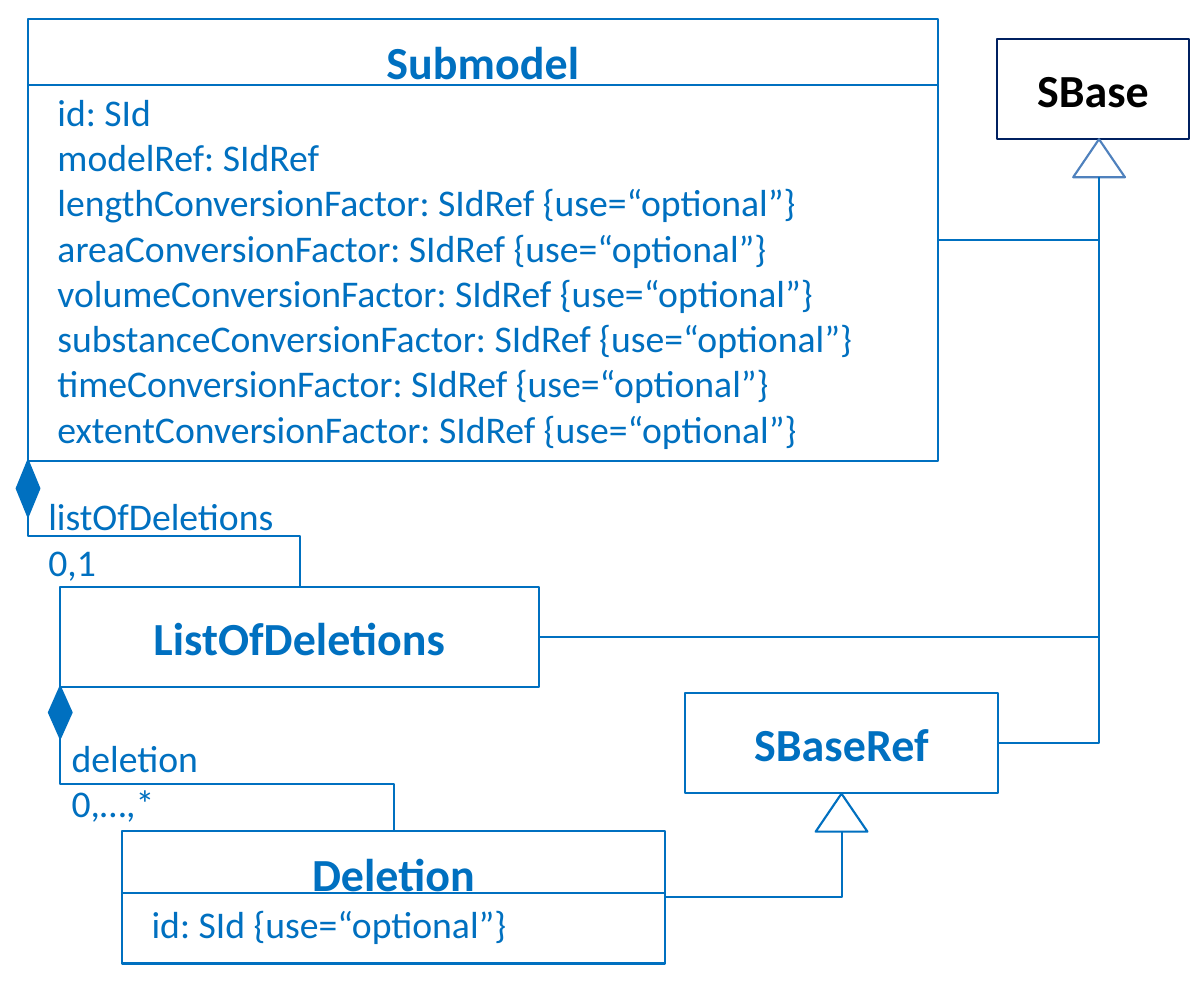
"""Draw a UML class diagram of submodels and their deletions."""
from dataclasses import dataclass

import lxml.etree
import pptx
import pptx.dml.color
import pptx.enum.shapes
import pptx.enum.text
import pptx.oxml.ns
import pptx.util

Pt = pptx.util.Pt
qn = pptx.oxml.ns.qn
SHAPE = pptx.enum.shapes.MSO_SHAPE
CONNECTOR = pptx.enum.shapes.MSO_CONNECTOR
ALIGN = pptx.enum.text.PP_ALIGN
ANCHOR = pptx.enum.text.MSO_ANCHOR

BLUE, NAVY, STEEL, BLACK = "0070C0", "002060", "4F81BD", "000000"
DIAMOND_WIDTH = 5.4
TRIANGLE_WIDTH, TRIANGLE_HEIGHT = 12.4, 9.1


@dataclass(frozen=True)
class UmlClass:
    heading: str
    left: float
    top: float
    width: float
    height: float
    attributes: tuple[str, ...] = ()
    divider: float = 0
    outline: str = BLUE
    ink: str = BLUE

    @property
    def right(self) -> float:
        return self.left + self.width

    @property
    def bottom(self) -> float:
        return self.top + self.height

    @property
    def center(self) -> float:
        return self.left + self.width / 2

    @property
    def middle(self) -> float:
        return self.top + self.height / 2


@dataclass(frozen=True)
class Composition:
    owner: UmlClass
    member: UmlClass
    diamond_height: float
    bend: float
    label: tuple[str, str]
    label_left: float
    label_top: float
    label_width: float


@dataclass(frozen=True)
class Inheritance:
    parent: UmlClass
    children: tuple[UmlClass, ...]
    axis: float
    outline: str


FACTORS = tuple(f"{kind}ConversionFactor: SIdRef {{use=“optional”}}" for kind in
                ("length", "area", "volume", "substance", "time", "extent"))
submodel = UmlClass("Submodel", 6.7, 4.5, 217.7, 105.8,
                    ("id: SId", "modelRef: SIdRef") + FACTORS, 20.3)
sbase = UmlClass("SBase", 238.5, 9.3, 45.9, 24, outline=NAVY, ink=BLACK)
deletion_list = UmlClass("ListOfDeletions", 14.4, 140.4, 114.5, 24)
sbase_ref = UmlClass("SBaseRef", 163.9, 165.8, 74.8, 24.1)
deletion = UmlClass("Deletion", 29.2, 198.8, 129.9, 31.8,
                    ("id: SId {use=“optional”}",), 213.6)

CLASSES = (submodel, sbase, deletion_list, sbase_ref, deletion)
COMPOSITIONS = (
    Composition(submodel, deletion_list, 13.2, 0.29,
                ("listOfDeletions", "0,1"), 4.5, 114.5, 69),
    Composition(deletion_list, deletion, 12.2, 0.5,
                ("deletion", "0,…,*"), 10.1, 172.3, 45.3),
)
INHERITANCES = (
    Inheritance(sbase, (submodel, deletion_list, sbase_ref), 262.9, STEEL),
    Inheritance(sbase_ref, (deletion,), sbase_ref.center, BLUE),
)

presentation = pptx.Presentation()
presentation.slide_width, presentation.slide_height = Pt(288), Pt(237.6)
slide = presentation.slides.add_slide(presentation.slide_layouts[6])


def color(value: str) -> pptx.dml.color.RGBColor:
    """Turn a hex string into a colour."""
    return pptx.dml.color.RGBColor.from_string(value)


def add_outline(kind, left: float, top: float, width: float, height: float,
                outline: str, fill: str = ""):
    """Add a thinly outlined shape, hollow unless a fill is given."""
    symbol = slide.shapes.add_shape(kind, Pt(left), Pt(top), Pt(width), Pt(height))
    symbol.shadow.inherit = False
    symbol.line.color.rgb = color(outline)
    symbol.line.width = Pt(0.5)
    if fill:
        symbol.fill.solid()
        symbol.fill.fore_color.rgb = color(fill)
    else:
        symbol.fill.background()
    return symbol


def add_line(x1: float, y1: float, x2: float, y2: float, kind=CONNECTOR.STRAIGHT):
    """Add a thin blue connector without a shadow."""
    line = slide.shapes.add_connector(kind, Pt(x1), Pt(y1), Pt(x2), Pt(y2))
    line.line.color.rgb = color(BLUE)
    line.line.width = Pt(0.5)
    lxml.etree.SubElement(line._element.spPr, qn("a:effectLst"))
    return line


def format_paragraph(paragraph, size: float, ink: str, bold: bool, align) -> None:
    """Set the alignment and the run fonts of a paragraph."""
    paragraph.alignment = align
    for run in paragraph.runs:
        run.font.name, run.font.size, run.font.bold = "Calibri", Pt(size), bold
        run.font.color.rgb = color(ink)


def draw_class(uml: UmlClass) -> None:
    """Draw a class box with its heading and attributes."""
    box = add_outline(SHAPE.RECTANGLE, uml.left, uml.top, uml.width, uml.height,
                      uml.outline)
    frame = box.text_frame
    frame.word_wrap = True
    frame.vertical_anchor = ANCHOR.TOP if uml.attributes else ANCHOR.MIDDLE
    frame.text = "\n".join((uml.heading,) + uml.attributes)
    heading, *attributes = frame.paragraphs
    format_paragraph(heading, 11, uml.ink, True, ALIGN.CENTER)
    for attribute in attributes:
        format_paragraph(attribute, 9, uml.ink, False, ALIGN.LEFT)
    if uml.divider:
        add_line(uml.left, uml.divider, uml.right, uml.divider)


def draw_composition(link: Composition) -> None:
    """Draw a diamond, a bent line down to the member, and the label."""
    owner, member = link.owner, link.member
    add_outline(SHAPE.DIAMOND, owner.left - DIAMOND_WIDTH / 2, owner.bottom,
                DIAMOND_WIDTH, link.diamond_height, BLUE, BLUE)
    start = owner.bottom + link.diamond_height
    drop, reach = member.top - start, member.center - owner.left
    x, y = (owner.left + member.center) / 2, (start + member.top) / 2
    line = add_line(x + drop / 2, y - reach / 2, x - drop / 2, y + reach / 2,
                    CONNECTOR.ELBOW)
    properties = line._element.spPr
    properties.find(qn("a:xfrm")).set("rot", str(270 * 60000))
    adjustments = properties.find(qn("a:prstGeom")).find(qn("a:avLst"))
    lxml.etree.SubElement(adjustments, qn("a:gd"), name="adj1",
                          fmla=f"val {round(link.bend * 100000)}")
    label = slide.shapes.add_textbox(Pt(link.label_left), Pt(link.label_top),
                                     Pt(link.label_width), Pt(29))
    label.text_frame.word_wrap = False
    label.text_frame.text = "\n".join(link.label)
    for paragraph in label.text_frame.paragraphs:
        format_paragraph(paragraph, 9, BLUE, False, ALIGN.LEFT)


def draw_inheritance(link: Inheritance) -> None:
    """Draw the parent's triangle and a bent line from each child."""
    base = link.parent.bottom + TRIANGLE_HEIGHT
    add_outline(SHAPE.ISOSCELES_TRIANGLE, link.axis - TRIANGLE_WIDTH / 2,
                link.parent.bottom, TRIANGLE_WIDTH, TRIANGLE_HEIGHT, link.outline)
    for child in link.children:
        line = add_line(child.right, child.middle, link.axis, base, CONNECTOR.ELBOW)
        line._element.spPr.find(qn("a:prstGeom")).set("prst", "bentConnector2")


for uml_class in CLASSES:
    draw_class(uml_class)
for composition in COMPOSITIONS:
    draw_composition(composition)
for inheritance in INHERITANCES:
    draw_inheritance(inheritance)
presentation.save("out.pptx")
